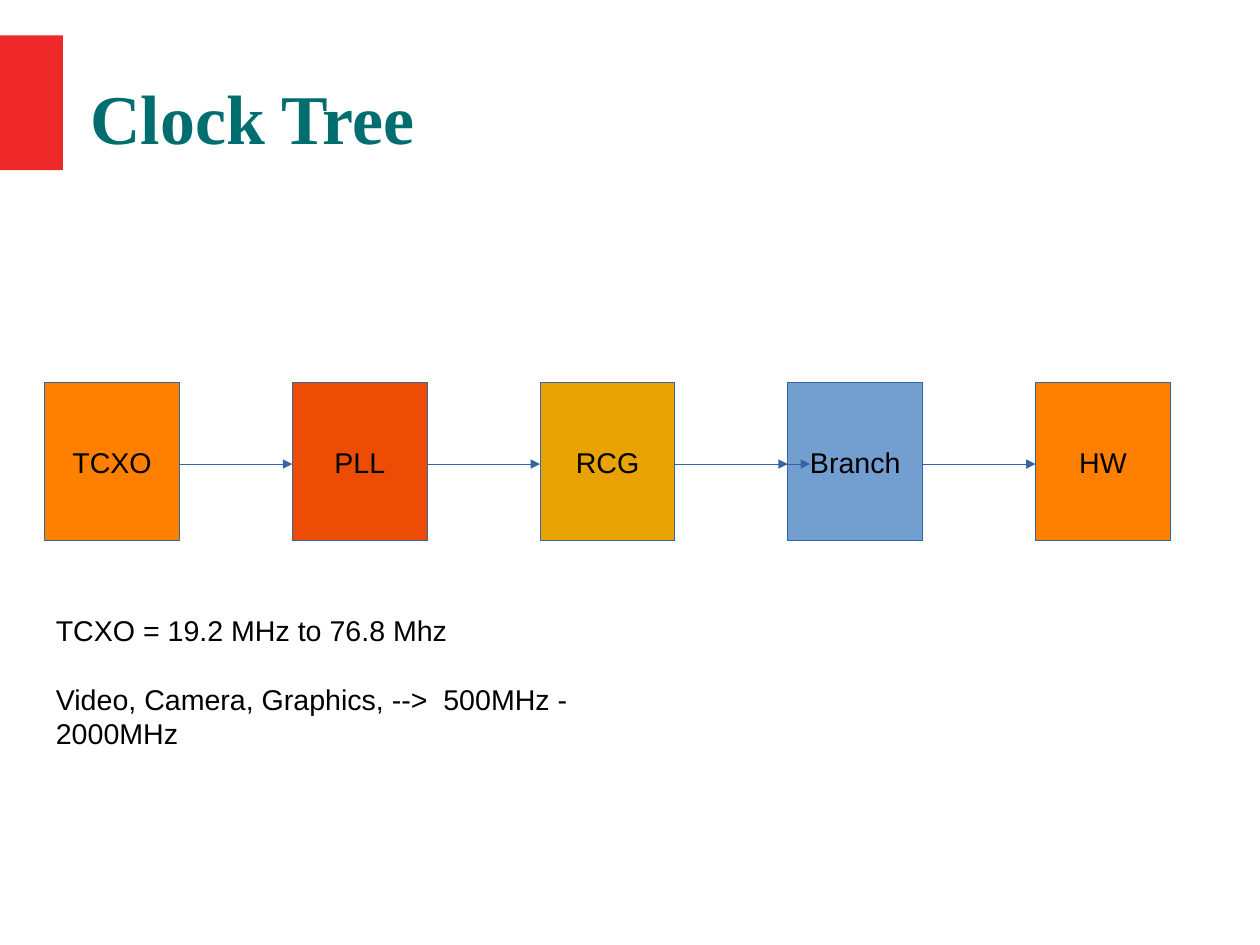
from dataclasses import dataclass

from lxml.etree import SubElement
from pptx import Presentation
from pptx.dml.color import RGBColor as Rgb
from pptx.dml.line import LineFormat as Line
from pptx.enum.shapes import MSO_CONNECTOR as Link, MSO_SHAPE as Kind
from pptx.enum.text import MSO_ANCHOR as Anchor, PP_ALIGN as Align
from pptx.oxml.ns import qn
from pptx.shapes.autoshape import Shape
from pptx.slide import Slide
from pptx.text.text import _Paragraph as Para
from pptx.util import Inches, Pt

COLORS = {
    "red": "EF2929", "teal": "006D6F", "black": "000000", "edge": "3465A4",
    "orange": "FF8000", "brick": "ED4C05", "gold": "E8A202", "blue": "729FCF",
}
# The page is 28 by 21 cm.
PAGE_W, PAGE_H = Inches(28 / 2.54), Inches(21 / 2.54)
LEFT, TOP, WIDE, HIGH = 0.39, 3.35, 1.18, 1.38
STEP = (9.06 - LEFT) / 4
GAP = STEP - WIDE
WIRE = 4.06


@dataclass
class Stage:
    """One block of the clock tree."""
    name: str
    color: str


STAGES = [
    Stage("TCXO", "orange"), Stage("PLL", "brick"), Stage("RCG", "gold"),
    Stage("Branch", "blue"), Stage("HW", "orange"),
]
NOTES = ["TCXO = 19.2 MHz to 76.8 Mhz",
         "Video, Camera, Graphics, -->  500MHz - 2000MHz"]


def rgb(name: str) -> Rgb:
    """Look up a colour by name."""
    return Rgb.from_string(COLORS[name])


def add_run(para: Para, text: str, size: int = 18, face: str = "Arial",
            color: str = "black", bold: bool = False) -> None:
    """Add one styled run to a paragraph."""
    run = para.add_run()
    run.text = text
    font = run.font
    font.size, font.name, font.bold = Pt(size), face, bold
    font.color.rgb = rgb(color)


def set_hair(line: Line) -> None:
    """Make a line a hairline; width 0 must be written out in the XML."""
    line.color.rgb = rgb("edge")
    line._get_or_add_ln().set("w", "0")


def add_rect(slide: Slide, x: float, y: float, w: float, h: float,
             color: str) -> Shape:
    """Draw a plain filled rectangle with no outline."""
    rect = slide.shapes.add_shape(
        Kind.RECTANGLE, Inches(x), Inches(y), Inches(w), Inches(h))
    rect.shadow.inherit = False
    rect.fill.solid()
    rect.fill.fore_color.rgb = rgb(color)
    rect.line.fill.background()
    return rect


def add_stage(slide: Slide, stage: Stage, x: float) -> None:
    """Draw a stage box with its centred name."""
    box = add_rect(slide, x, TOP, WIDE, HIGH, stage.color)
    set_hair(box.line)
    frame = box.text_frame
    frame.vertical_anchor = Anchor.MIDDLE
    para = frame.paragraphs[0]
    para.alignment = Align.CENTER
    add_run(para, stage.name)


def add_arrow(slide: Slide, x: float) -> None:
    """Draw an arrow that spans one gap between stages."""
    arrow = slide.shapes.add_connector(
        Link.STRAIGHT, Inches(x), Inches(WIRE), Inches(x + GAP), Inches(WIRE))
    set_hair(arrow.line)
    SubElement(arrow.line._get_or_add_ln(), qn("a:tailEnd"), type="triangle")
    SubElement(arrow._element.spPr, qn("a:effectLst"))


def add_title(slide: Slide, text: str) -> None:
    """Draw the red tab and the slide title."""
    add_rect(slide, 0, 0.31, 0.55, 1.18, "red")
    frame = slide.shapes.add_textbox(
        Inches(0.79), Inches(0.33), Inches(9.68), Inches(1.38)).text_frame
    frame.word_wrap = True
    frame.vertical_anchor = Anchor.MIDDLE
    frame.margin_left = frame.margin_right = Inches(0)
    frame.margin_top = frame.margin_bottom = Inches(0)
    add_run(frame.paragraphs[0], text, 44, "Times New Roman", "teal", True)


def add_notes(slide: Slide, lines: list[str]) -> None:
    """Write the frequency lines below the tree."""
    frame = slide.shapes.add_textbox(
        Inches(LEFT), Inches(5.31), Inches(5.81), Inches(0.94)).text_frame
    frame.word_wrap = True
    for i, line in enumerate(lines):
        para = frame.add_paragraph() if i else frame.paragraphs[0]
        para.space_before = Pt(22 if i else 0)
        add_run(para, line)


def main() -> None:
    """Build and save the slide."""
    deck = Presentation()
    deck.slide_width, deck.slide_height = PAGE_W, PAGE_H
    slide = deck.slides.add_slide(deck.slide_layouts[6])
    add_title(slide, "Clock Tree")
    spots = [LEFT + i * STEP for i in range(len(STAGES))]
    for stage, x in zip(STAGES, spots):
        add_stage(slide, stage, x)
    for x in spots[:-1]:
        add_arrow(slide, x + WIDE)
    add_notes(slide, NOTES)
    add_arrow(slide, 6.1)
    deck.save("out.pptx")


main()
